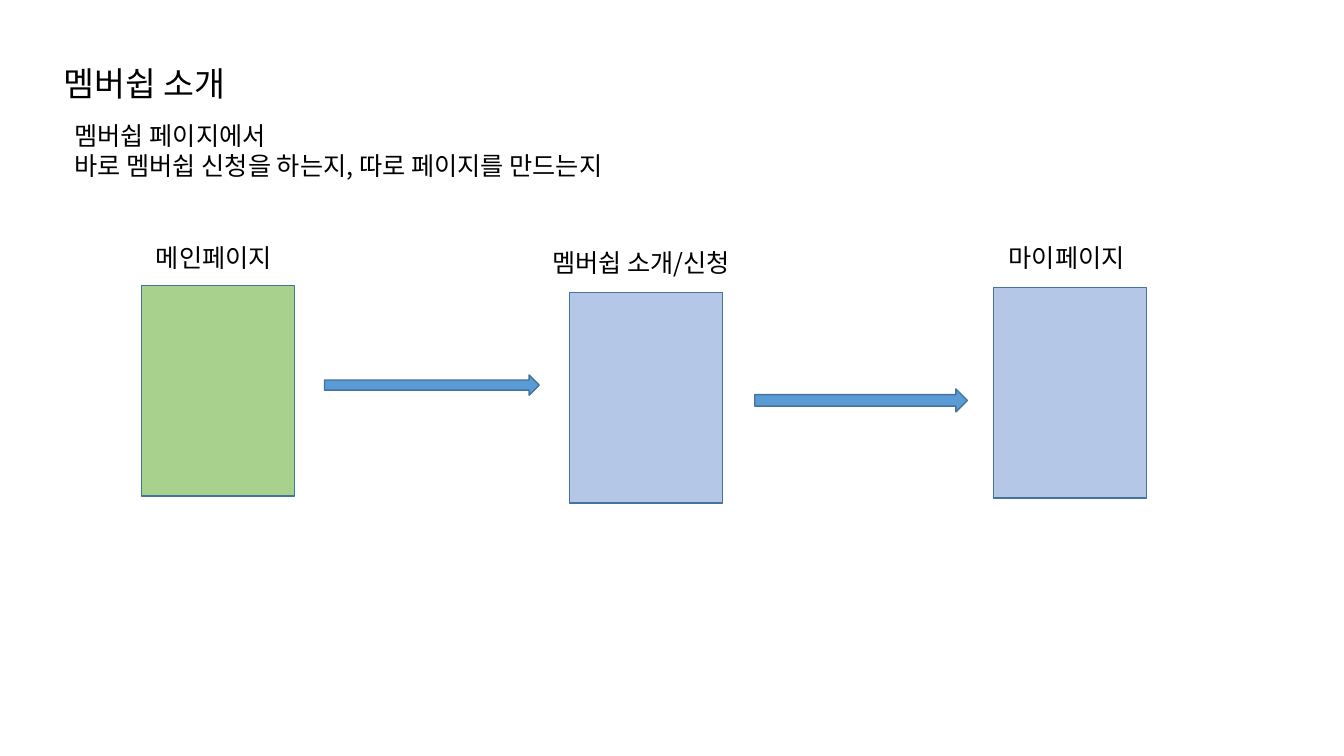
from lxml import etree
from pptx import Presentation
from pptx.dml.color import RGBColor
from pptx.enum.shapes import MSO_SHAPE
from pptx.enum.text import MSO_AUTO_SIZE
from pptx.oxml.ns import qn
from pptx.util import Cm, Pt

RECT, ARROW = MSO_SHAPE.RECTANGLE, MSO_SHAPE.RIGHT_ARROW
GROW = MSO_AUTO_SIZE.SHAPE_TO_FIT_TEXT
FONT = "Noto Sans CJK KR"
GREEN, PALE, BLUE, EDGE, BLACK = "A9D18E", "B4C7E7", "5B9BD5", "43739E", "000000"
PAGE_W, PAGE_H = 3.86, 5.31
LABEL_H = 1.02

# lines, size, box (left, top, width, height in cm)
HEADS = [
    (["멤버쉽 소개"], 24, (1.35, 1.47, 5.08, 1.27)),
    (["멤버쉽 페이지에서", "바로 멤버쉽 신청을 하는지, 따로 페이지를 만드는지"],
     18, (1.63, 2.9, 15.49, 1.8)),
]
# label, label left, top and width, page left and top, fill
PAGES = [
    ("메인페이지", (3.68, 5.99, 3.71), (3.56, 7.19), GREEN),
    ("멤버쉽 소개/신청", (13.67, 6.12, 5.49), (14.35, 7.37), PALE),
    ("마이페이지", (25.17, 5.99, 3.71), (25.04, 7.24), PALE),
]
ARROWS = [(8.18, 9.45, 5.41, 0.51), (19.02, 9.8, 5.36, 0.58)]


def color(code):
    return RGBColor.from_string(code)


def add_box(slide, kind, box, fill):
    shape = slide.shapes.add_shape(kind, *map(Cm, box))
    shape.shadow.inherit = False
    shape.fill.solid()
    shape.fill.fore_color.rgb = color(fill)
    shape.line.color.rgb = color(EDGE)
    shape.line.width = Pt(1)


def add_text(slide, lines, size, box):
    frame = slide.shapes.add_textbox(*map(Cm, box)).text_frame
    frame.word_wrap = False
    frame.auto_size = GROW
    frame.text = "\n".join(lines)
    for para in frame.paragraphs:
        for run in para.runs:
            run.font.size = Pt(size)
            run.font.color.rgb = color(BLACK)
            run.font.name = FONT
            # Korean letters take the East Asian font
            east = etree.SubElement(run.font._element, qn("a:ea"))
            east.set("typeface", FONT)


def main():
    deck = Presentation()
    deck.slide_width, deck.slide_height = Cm(33.87), Cm(19.05)
    slide = deck.slides.add_slide(deck.slide_layouts[6])
    for lines, size, box in HEADS:
        add_text(slide, lines, size, box)
    for label, spot, corner, fill in PAGES:
        add_box(slide, RECT, (*corner, PAGE_W, PAGE_H), fill)
        add_text(slide, [label], 18, (*spot, LABEL_H))
    for box in ARROWS:
        add_box(slide, ARROW, box, BLUE)
    deck.save("out.pptx")


if __name__ == "__main__":
    main()
